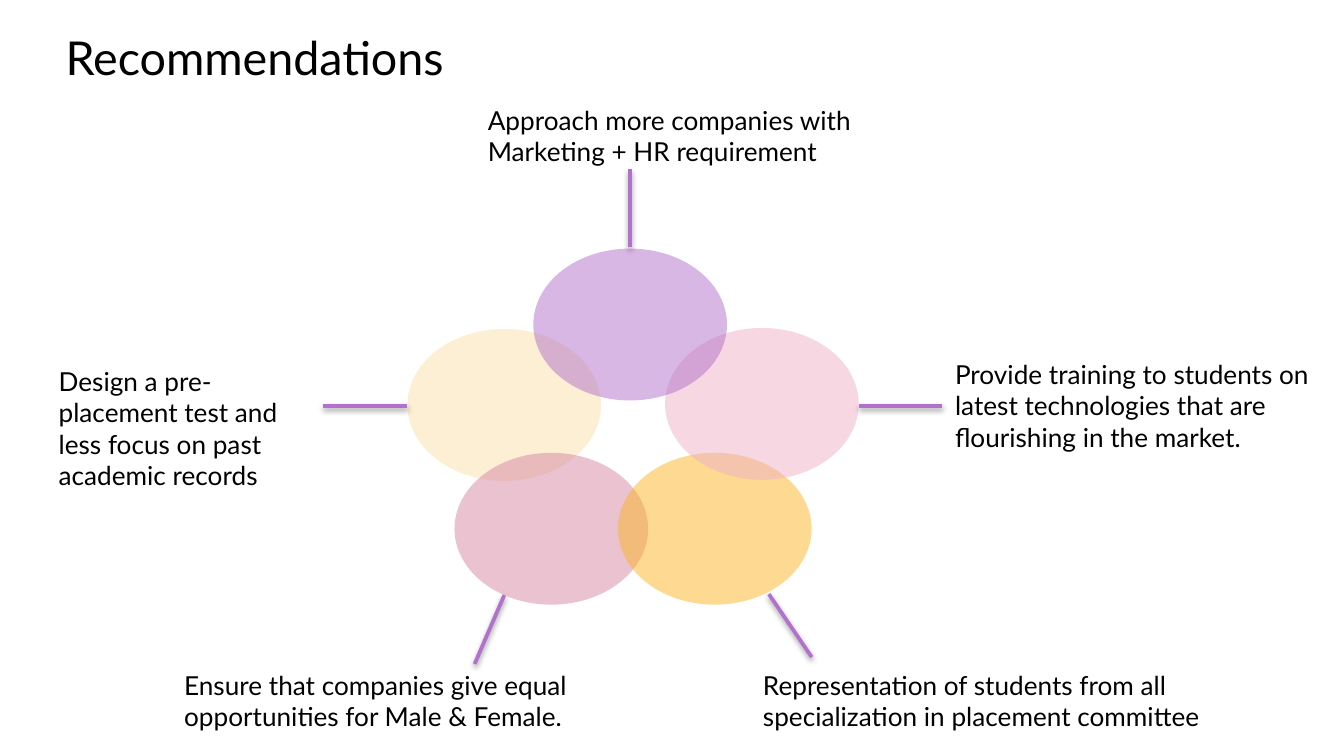
"""Build the Recommendations slide with five overlapping ovals and callouts."""
from lxml import etree
from pptx import Presentation
from pptx import util as u
from pptx.dml import color
from pptx.enum import shapes, text
from pptx.oxml import ns

BLACK = color.RGBColor(0x00, 0x00, 0x00)
PURPLE = color.RGBColor(0xB2, 0x71, 0xCC)
CREAM = color.RGBColor(0xFA, 0xE0, 0xAA)
ROSE = color.RGBColor(0xD6, 0x86, 0xA3)
AMBER = color.RGBColor(0xFC, 0xB5, 0x24)
PINK = color.RGBColor(0xEE, 0xB1, 0xC7)

OVAL_WIDTH, OVAL_HEIGHT = u.Cm(3.66), u.Cm(2.87)

petals = [
    (CREAM, (7.7, 6.22), (7.7, 7.67, 6.1, 7.67)),
    (ROSE, (8.59, 8.56), (8.97, 12.55, 9.53, 11.25)),
    (AMBER, (11.68, 8.56), (15.34, 12.42, 14.53, 11.23)),
    (PINK, (12.57, 6.2), (17.81, 7.67, 16.23, 7.67)),
    (PURPLE, (10.08, 4.7), (11.91, 4.67, 11.91, 3.2)),
]

labels = [
    ("Provide training to students on latest technologies that are "
     "flourishing in the market.", 14, (17.8, 6.65, 7.32, 2.06)),
    ("Approach more companies with Marketing + HR requirement", 14,
     (8.97, 1.85, 7.85, 1.45)),
    ("Ensure that companies give equal opportunities for Male & Female.", 14,
     (3.23, 12.52, 7.85, 1.45)),
    ("Design a pre-placement test and less focus on past academic records", 14,
     (0.86, 6.78, 5.5, 2.06)),
    ("Representation of students from all specialization in placement committee",
     14, (14.17, 12.52, 8.84, 1.45)),
    ("Recommendations", 25, (0.99, 0.43, 10.97, 1.32)),
]

deck = Presentation()
deck.slide_width, deck.slide_height = u.Cm(25.4), u.Cm(14.29)
page = deck.slides.add_slide(deck.slide_layouts[6])

for tint, (left, top), ends in petals:
    oval = page.shapes.add_shape(
        shapes.MSO_SHAPE.OVAL, u.Cm(left), u.Cm(top), OVAL_WIDTH, OVAL_HEIGHT)
    oval.shadow.inherit = False
    oval.fill.solid()
    oval.fill.fore_color.rgb = tint
    oval.line.fill.background()
    fill_color = oval.fill._xPr.find(".//" + ns.qn("a:srgbClr"))
    etree.SubElement(fill_color, ns.qn("a:alpha"), val="50000")

    stem = page.shapes.add_connector(
        shapes.MSO_CONNECTOR.STRAIGHT, *[u.Cm(value) for value in ends])
    stem.line.color.rgb = PURPLE
    stem.line.width = u.Pt(2)
    effects = etree.SubElement(stem._element.spPr, ns.qn("a:effectLst"))
    shadow = etree.SubElement(
        effects, ns.qn("a:outerShdw"), blurRad=str(u.Pt(3.1)),
        dist=str(u.Pt(1.6)), dir="5400000", rotWithShape="0")
    shade = etree.SubElement(shadow, ns.qn("a:srgbClr"), val=str(BLACK))
    etree.SubElement(shade, ns.qn("a:alpha"), val="38000")

for words, size, place in labels:
    box = page.shapes.add_textbox(*[u.Cm(value) for value in place])
    frame = box.text_frame
    frame.word_wrap = True
    frame.auto_size = text.MSO_AUTO_SIZE.SHAPE_TO_FIT_TEXT
    frame.text = words
    span = frame.paragraphs[0].runs[0]
    span.font.name = "Lato"
    span.font.size = u.Pt(size)
    span.font.color.rgb = BLACK

deck.save("out.pptx")
